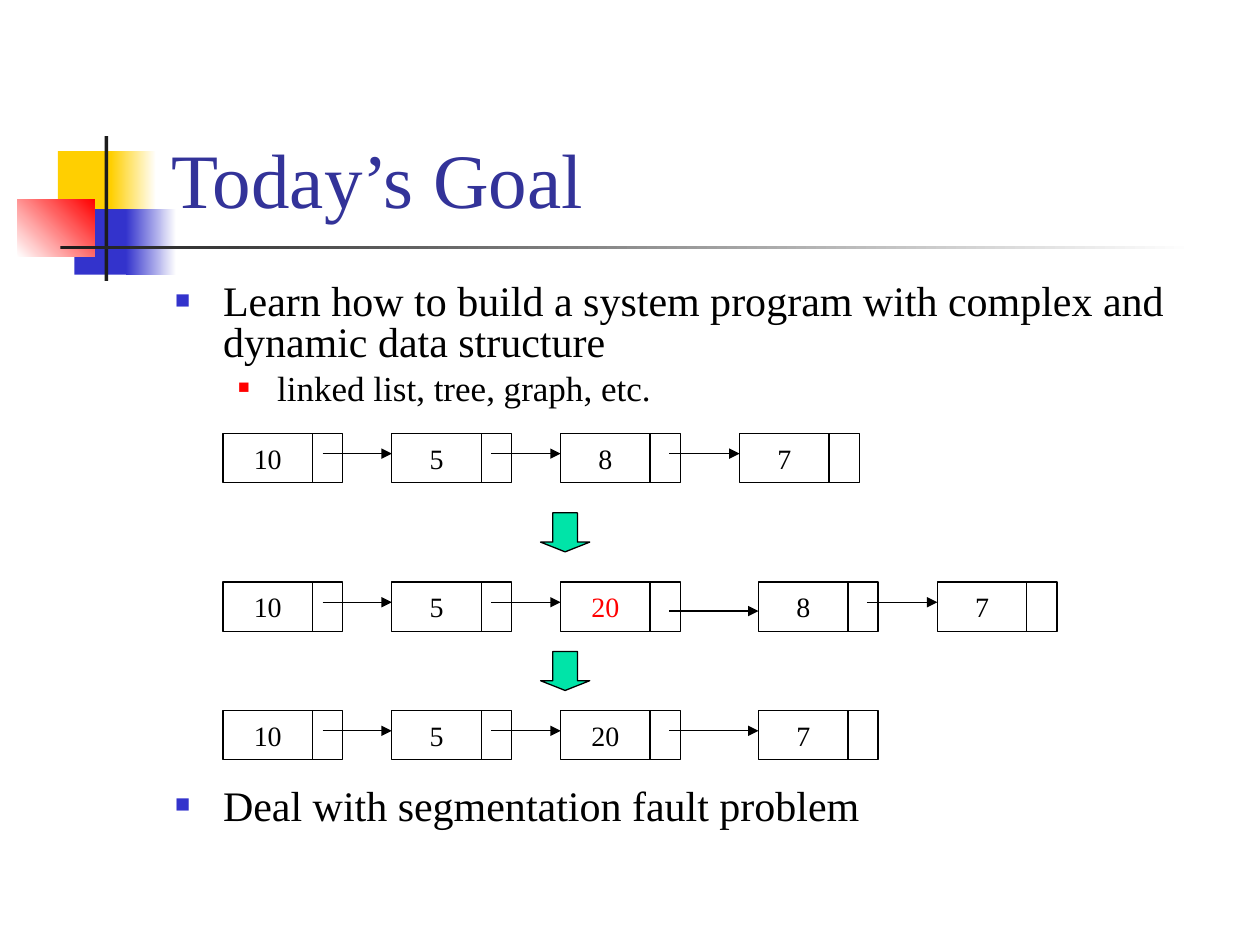
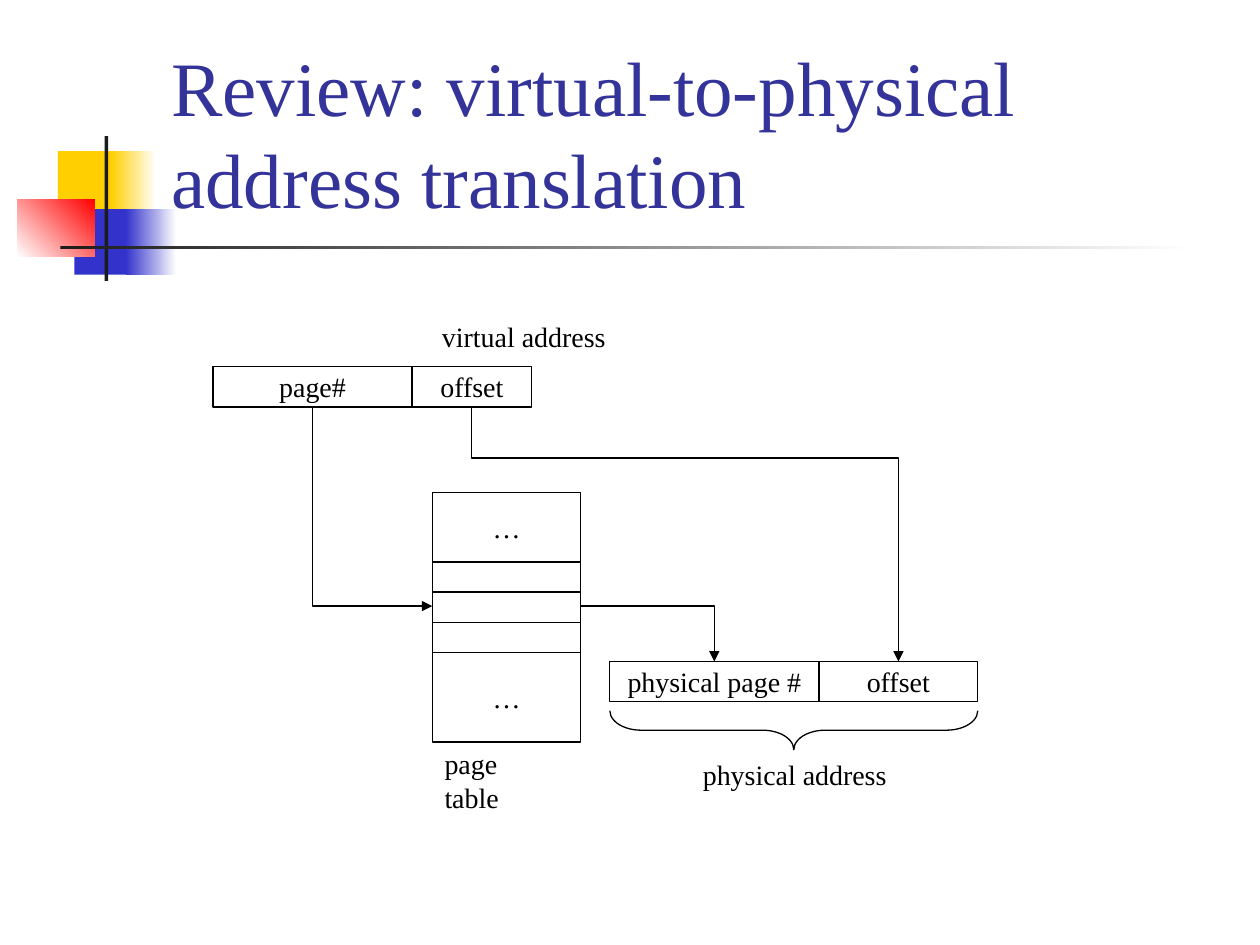
from lxml import etree
from pptx import Presentation
from pptx.dml.color import RGBColor
from pptx.enum.shapes import MSO_CONNECTOR, MSO_SHAPE
from pptx.enum.text import MSO_ANCHOR, MSO_AUTO_SIZE, PP_ALIGN
from pptx.oxml.ns import qn
from pptx.util import Inches, Pt

RECT, DOWN_ARROW, LEFT_BRACE = MSO_SHAPE.RECTANGLE, MSO_SHAPE.DOWN_ARROW, MSO_SHAPE.LEFT_BRACE
STRAIGHT, ELBOW = MSO_CONNECTOR.STRAIGHT, MSO_CONNECTOR.ELBOW
LEFT, CENTER = PP_ALIGN.LEFT, PP_ALIGN.CENTER
TOP, MIDDLE, BOTTOM = MSO_ANCHOR.TOP, MSO_ANCHOR.MIDDLE, MSO_ANCHOR.BOTTOM
NO_FIT = MSO_AUTO_SIZE.NONE

FONT = "Times New Roman"
COLORS = {
    "title": "333399", "text": "000000", "white": "FFFFFF", "yellow": "FFCF01",
    "blue": "3333CC", "red": "FF0000", "dark": "1C1C1C", "green": "00E4A8",
}
TITLE_BOX = (1.26, 0.23, 8.52, 1.6)
BODY_BOX = (1.29, 2.21, 8.5, 4.5)
DECORATION = [
    ((0.46, 1.2, 0.48, 0.52), ("yellow",), 0),
    ((0.88, 1.2, 0.36, 0.52), ("yellow", "white"), 0),
    ((0.59, 1.66, 0.46, 0.52), ("blue",), 0),
    ((1, 1.66, 0.4, 0.52), ("blue", "white"), 0),
    ((0.14, 1.58, 0.61, 0.46), ("white", "red"), 45),
    ((0.83, 1.08, 0.03, 1.15), ("dark",), 0),
    ((0.48, 1.95, 9, 0.03), ("dark", "white"), 0),
]
BULLETS = [("blue", 60, 0.38, 0.38, 24), ("red", 55, 0.81, 0.31, 20)]
NODE_W, LINK_W, NODE_H = 0.71, 0.24, 0.39


def rgb(name):
    return RGBColor.from_string(COLORS[name])


def place(sp, box):
    sp.left, sp.top, sp.width, sp.height = map(Inches, box)


def add_run(p, text, size, color="text"):
    r = p.add_run()
    r.text = text
    r.font.size = Pt(size)
    r.font.name = FONT
    r.font.color.rgb = rgb(color)


def add_box(slide, box, text="", color="text", fill=None, shape=RECT):
    sp = slide.shapes.add_shape(shape, *map(Inches, box))
    sp.shadow.inherit = False
    if fill:
        sp.fill.solid()
        sp.fill.fore_color.rgb = rgb(fill)
    else:
        sp.fill.background()
    sp.line.color.rgb = rgb("text")
    sp.line.width = Pt(0.75)
    if text:
        tf = sp.text_frame
        tf.word_wrap = False
        tf.vertical_anchor = MIDDLE
        p = tf.paragraphs[0]
        p.alignment = CENTER
        add_run(p, text, 16, color)
    return sp


def add_label(slide, box, text):
    tf = slide.shapes.add_textbox(*map(Inches, box)).text_frame
    tf.word_wrap = False
    add_run(tf.paragraphs[0], text, 16)


def add_arrow(slide, start, end, kind=STRAIGHT):
    c = slide.shapes.add_connector(kind, *map(Inches, (*start, *end)))
    c.line.color.rgb = rgb("text")
    c.line.width = Pt(0.75)
    etree.SubElement(c.line._get_or_add_ln(), qn("a:tailEnd"), type="triangle")
    etree.SubElement(c._element.spPr, qn("a:effectLst"))
    return c


def add_elbow(slide, start, end, down_first=False, bend=None):
    if down_first:
        (x1, y1), (x2, y2) = start, end
        cx, cy, half_w, half_h = (x1 + x2) / 2, (y1 + y2) / 2, (y2 - y1) / 2, (x2 - x1) / 2
        start, end = (cx - half_w, cy - half_h), (cx + half_w, cy + half_h)
    spPr = add_arrow(slide, start, end, ELBOW)._element.spPr
    if down_first:
        spPr.xfrm.set("rot", str(270 * 60000))
        spPr.xfrm.set("flipH", "1")
    geom = spPr.find(qn("a:prstGeom"))
    if bend is None:
        geom.set("prst", "bentConnector2")
    else:
        guides = geom.find(qn("a:avLst"))
        etree.SubElement(guides, qn("a:gd"), name="adj1", fmla=f"val {round(bend * 100000)}")


def decorate_master(prs, slide):
    tree = prs.slide_master.shapes._spTree
    for i, (box, colors, angle) in enumerate(DECORATION):
        sp = slide.shapes.add_shape(RECT, *map(Inches, box))
        sp.shadow.inherit = False
        sp.line.fill.background()
        if len(colors) == 1:
            sp.fill.solid()
            sp.fill.fore_color.rgb = rgb(colors[0])
        else:
            sp.fill.gradient()
            sp.fill.gradient_angle = angle
            for stop, color in zip(sp.fill.gradient_stops, colors):
                stop.color.rgb = rgb(color)
        sp._element.nvSpPr.cNvPr.set("id", str(20 + i))
        tree.insert(2 + i, sp._element)


def set_title(slide, text):
    title = slide.shapes.title
    place(title, TITLE_BOX)
    tf = title.text_frame
    tf.word_wrap = True
    tf.auto_size = NO_FIT
    tf.vertical_anchor = BOTTOM
    p = tf.paragraphs[0]
    p.alignment = LEFT
    add_run(p, text, 44, "title")


def fill_body(body, items):
    place(body, BODY_BOX)
    tf = body.text_frame
    tf.word_wrap = True
    tf.auto_size = NO_FIT
    tf.vertical_anchor = TOP
    for i, (level, text, space) in enumerate(items):
        p = tf.paragraphs[0] if i == 0 else tf.add_paragraph()
        color, percent, margin, hang, size = BULLETS[level]
        p.level = level
        p.alignment = LEFT
        p.line_spacing = 0.8
        p.space_before = Pt(space)
        pPr = p._p.get_or_add_pPr()
        pPr.set("marL", str(Inches(margin)))
        pPr.set("indent", str(-Inches(hang)))
        bullet_color = etree.SubElement(pPr, qn("a:buClr"))
        etree.SubElement(bullet_color, qn("a:srgbClr"), val=COLORS[color])
        etree.SubElement(pPr, qn("a:buSzPct"), val=str(percent * 1000))
        etree.SubElement(pPr, qn("a:buFont"), typeface=FONT)
        etree.SubElement(pPr, qn("a:buChar"), char="■")
        add_run(p, text, size)


def add_linked_list(slide, left, top, nodes, inserted=None):
    for i, (value, offset) in enumerate(nodes):
        x = left + offset
        is_new = value == inserted
        add_box(slide, (x, top, NODE_W, NODE_H), value, "red" if is_new else "text")
        add_box(slide, (x + NODE_W, top, LINK_W, NODE_H))
        if i + 1 < len(nodes):
            y = top + (0.23 if is_new else 0.16)
            start = x + (0.79 if i < 2 else 0.86)
            add_arrow(slide, (start, y), (left + nodes[i + 1][1], y))


def add_address(slide, left, top, height, fields):
    for text, width in fields:
        add_box(slide, (left, top, width, height), text)
        left += width


def add_page_table(slide, left, top, width):
    y = top
    for text, height in [("…", 0.55), ("", 0.24), ("", 0.24), ("", 0.24), ("…", 0.71)]:
        add_box(slide, (left, y, width, height), text)
        y += height
    add_label(slide, (left, 5.88, 1.1, 0.37), "page table")


def add_brace(slide, left, top, width, height):
    box = (left + (width - height) / 2, top - (width - height) / 2, height, width)
    sp = add_box(slide, box, shape=LEFT_BRACE)
    sp.rotation = 270
    sp.adjustments[0] = 0.8


def build_goal(slide):
    set_title(slide, "Today’s Goal")
    fill_body(slide.placeholders[1], [
        (0, "Learn how to build a system program with complex and dynamic data structure", 0),
        (1, "linked list, tree, graph, etc.", 5),
        (0, "Deal with segmentation fault problem", 218),
    ])
    left = 1.77
    head = [("10", 0), ("5", 1.34)]
    add_linked_list(slide, left, 3.44, head + [("8", 2.68), ("7", 4.1)])
    add_linked_list(slide, left, 4.62, head + [("20", 2.68), ("8", 4.25), ("7", 5.67)], "20")
    add_linked_list(slide, left, 5.64, head + [("20", 2.68), ("7", 4.25)])
    for top in (4.07, 5.17):
        arrow = add_box(slide, (4.29, top, 0.39, 0.31), fill="green", shape=DOWN_ARROW)
        arrow.adjustments[0] = 0.5
        arrow.adjustments[1] = 0.25


def build_translation(slide):
    set_title(slide, "Review: virtual-to-physical address translation")
    add_label(slide, (3.41, 2.49, 1.5, 0.37), "virtual address")
    add_address(slide, 1.69, 2.91, 0.32, [("page#", 1.58), ("offset", 0.95)])
    add_page_table(slide, 3.43, 3.91, 1.18)
    add_address(slide, 4.84, 5.25, 0.32, [("physical page #", 1.66), ("offset", 1.26)])
    add_elbow(slide, (2.48, 3.23), (3.43, 4.81), down_first=True)
    add_elbow(slide, (4.61, 4.81), (5.67, 5.25))
    add_elbow(slide, (3.74, 3.23), (7.13, 5.25), down_first=True, bend=0.2)
    add_brace(slide, 4.84, 5.64, 2.92, 0.31)
    add_label(slide, (5.48, 5.96, 1.66, 0.37), "physical address")


def main():
    prs = Presentation()
    prs.slide_width, prs.slide_height = Inches(10), Inches(7.5)
    goal = prs.slides.add_slide(prs.slide_layouts[1])
    translation = prs.slides.add_slide(prs.slide_layouts[5])
    decorate_master(prs, goal)
    build_goal(goal)
    build_translation(translation)
    prs.save("out.pptx")


if __name__ == "__main__":
    main()
